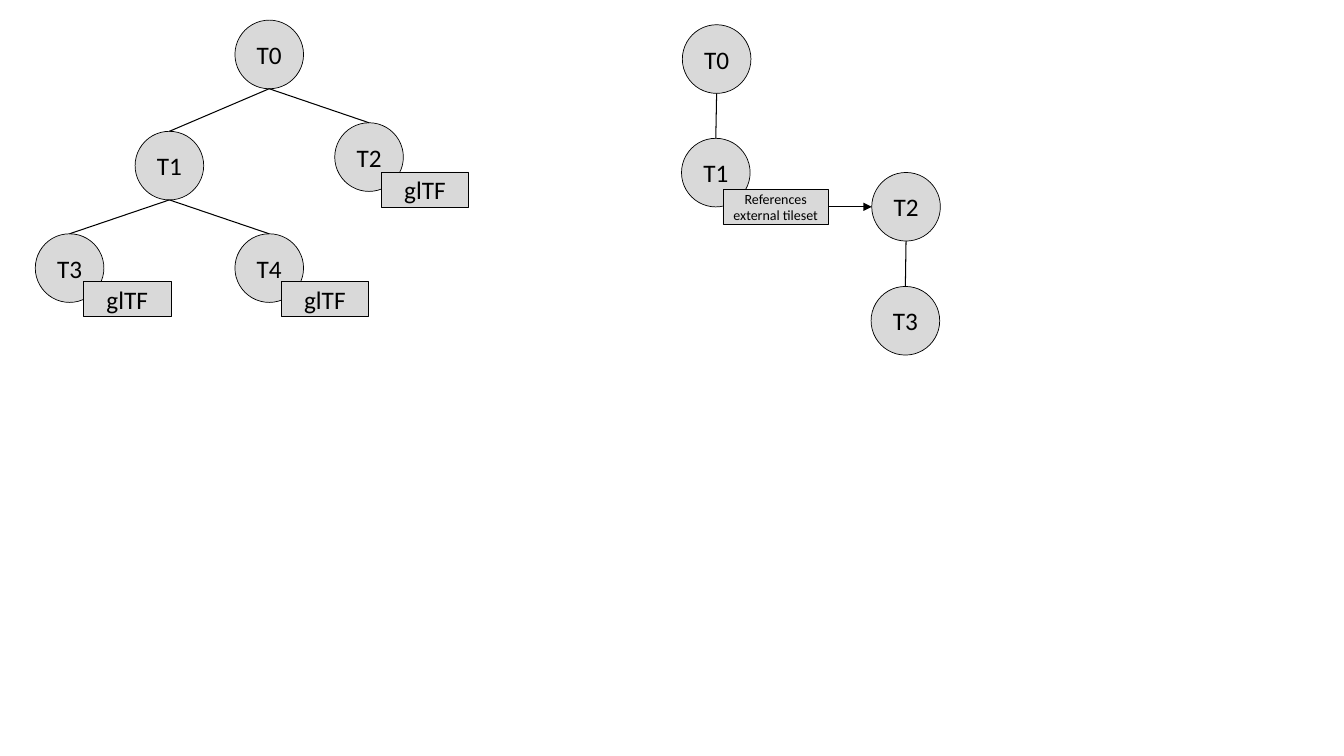
from lxml import etree
from pptx import Presentation
from pptx.dml.color import RGBColor
from pptx.enum.shapes import MSO_CONNECTOR, MSO_SHAPE
from pptx.enum.text import MSO_ANCHOR, PP_ALIGN
from pptx.oxml.ns import qn
from pptx.util import Pt

ELLIPSE, RECTANGLE = MSO_SHAPE.OVAL, MSO_SHAPE.RECTANGLE
STRAIGHT = MSO_CONNECTOR.STRAIGHT
CENTER, MIDDLE = PP_ALIGN.CENTER, MSO_ANCHOR.MIDDLE

COLORS = {"fill": "D9D9D9", "ink": "000000"}
FONT = "Calibri"
TILE_SIZE = 49
TAG_HEIGHT = 25.2
COLUMN_LEFT, COLUMN_STEP = 25.2, 71.3


def color(name):
    return RGBColor.from_string(COLORS[name])


def write_text(shape, text, size=18, ink="ink", align=CENTER, anchor=MIDDLE):
    frame = shape.text_frame
    frame.word_wrap = True
    frame.vertical_anchor = anchor
    paragraph = frame.paragraphs[0]
    paragraph.alignment = align
    run = paragraph.add_run()
    run.text = text
    run.font.name = FONT
    run.font.size = Pt(size)
    run.font.color.rgb = color(ink)


class TileDiagram:
    """Draws tiles, content tags and links on one slide, in points."""

    def __init__(self, slide):
        self.shapes = slide.shapes

    def box(self, preset, left, top, width, height, text, **text_format):
        shape = self.shapes.add_shape(preset, Pt(left), Pt(top), Pt(width), Pt(height))
        shape.shadow.inherit = False
        shape.fill.solid()
        shape.fill.fore_color.rgb = color("fill")
        shape.line.color.rgb = color("ink")
        shape.line.width = Pt(0.5)
        write_text(shape, text, **text_format)

    def tile(self, text, left, top):
        self.box(ELLIPSE, left, top, TILE_SIZE, TILE_SIZE, text)

    def tag(self, text, left, top, width=62.6, **text_format):
        self.box(RECTANGLE, left, top, width, TAG_HEIGHT, text, **text_format)

    def link(self, start, end, arrow=False):
        connector = self.shapes.add_connector(STRAIGHT, *(Pt(v) for v in (*start, *end)))
        connector.line.color.rgb = color("ink")
        connector.line.width = Pt(0.75)
        if arrow:
            line = connector.line._get_or_add_ln()
            etree.SubElement(line, qn("a:tailEnd"), type="triangle")
        etree.SubElement(connector._element.spPr, qn("a:effectLst"))

    def tree(self, tiles, branches):
        """Draw tiles, given as name: (left, top), and parent-child links."""
        for name, (left, top) in tiles.items():
            self.tile(name, left, top)
        for parent, child in branches:
            parent_left, parent_top = tiles[parent]
            child_left, child_top = tiles[child]
            self.link((parent_left + TILE_SIZE / 2, parent_top + TILE_SIZE),
                      (child_left + TILE_SIZE / 2, child_top))


def column(index):
    return COLUMN_LEFT + index * COLUMN_STEP


def main():
    presentation = Presentation()
    presentation.slide_width, presentation.slide_height = Pt(960), Pt(540)
    blank_layout = presentation.slide_layouts[6]
    diagram = TileDiagram(presentation.slides.add_slide(blank_layout))

    content_tiles = {
        "T0": (column(2), 14.4),
        "T1": (column(1), 93.8),
        "T2": (column(3), 87.7),
        "T3": (column(0), 167),
        "T4": (column(2), 167),
    }
    diagram.tree(content_tiles, [("T0", "T1"), ("T0", "T2"), ("T1", "T3"), ("T1", "T4")])
    for left, top in [(59.6, 201), (200.8, 201), (272.3, 122.8)]:
        diagram.tag("glTF", left, top)

    external_tiles = {
        "T0": (487.4, 17.7),
        "T1": (486.8, 98.8),
        "T2": (622.7, 123.2),
        "T3": (622.2, 204.6),
    }
    diagram.tree(external_tiles, [("T0", "T1"), ("T2", "T3")])
    reference_left, reference_width = 516.4, 75.4
    diagram.tag("References external tileset", reference_left, 135.2,
                width=reference_width, size=10)
    target_left, target_top = external_tiles["T2"]
    arrow_y = target_top + TILE_SIZE / 2
    diagram.link((reference_left + reference_width, arrow_y),
                 (target_left, arrow_y), arrow=True)

    presentation.save("out.pptx")


if __name__ == "__main__":
    main()
